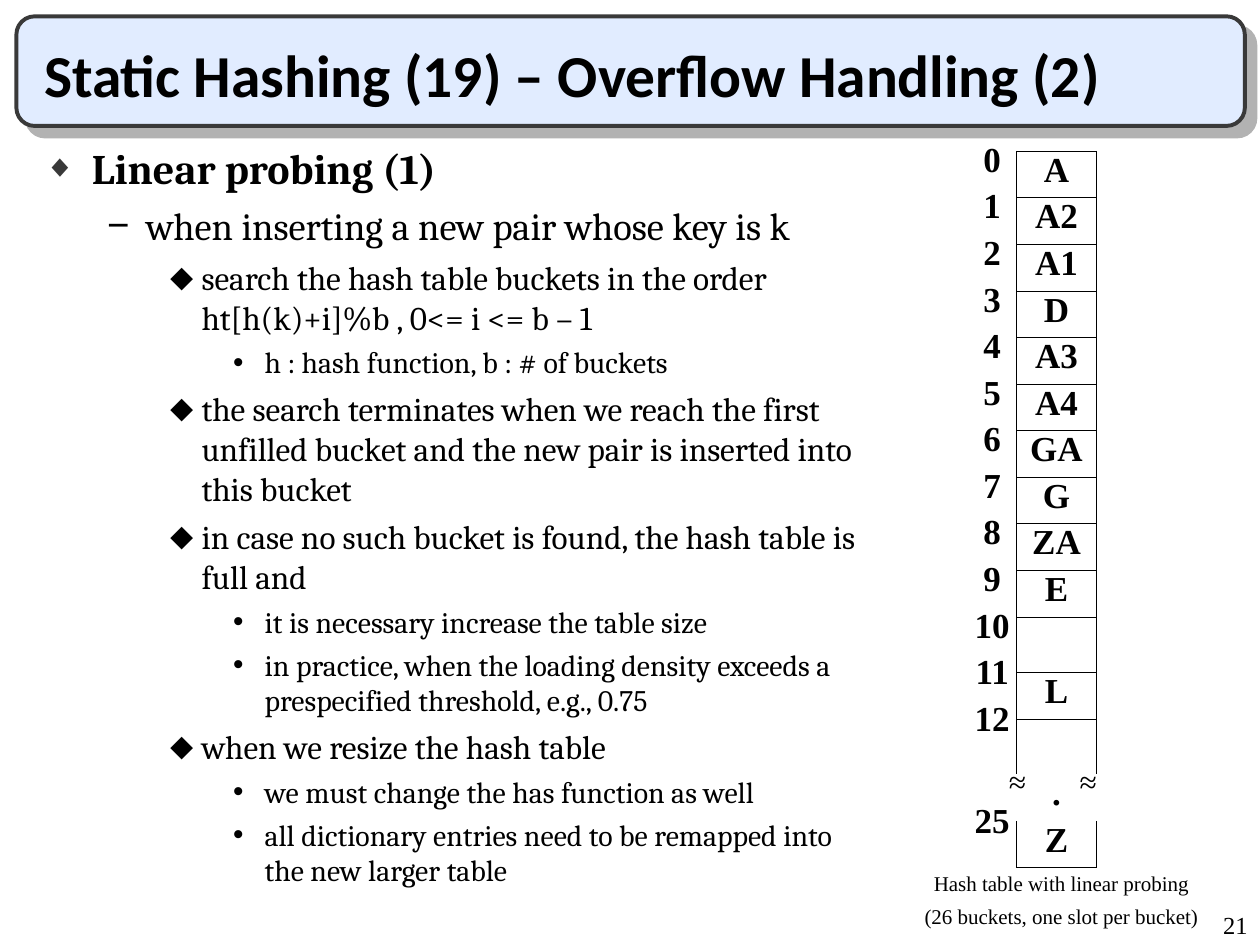
from lxml import etree
from pptx import Presentation
from pptx.dml.color import RGBColor
from pptx.enum import shapes, text
from pptx.oxml import ns, parse_xml
from pptx.util import Inches, Pt

colour = RGBColor.from_string
BLACK = "000000"
SERIF = "Times New Roman"
CENTER = text.PP_ALIGN.CENTER


def write(paragraph, words, size, font=SERIF, bold=False, align=None):
    paragraph.alignment = align
    run = paragraph.add_run()
    run.text = words
    run.font.size = Pt(size)
    run.font.name = font
    run.font.bold = bold
    run.font.color.rgb = colour(BLACK)


def add_child(parent, tag, **attributes):
    return etree.SubElement(parent, ns.qn(tag), attributes)


deck = Presentation()
deck.slide_width, deck.slide_height = Inches(10), Inches(7.5)
slide = deck.slides.add_slide(deck.slide_layouts[1])

# Heading banner, behind the title
banner = slide.shapes.add_shape(
    shapes.MSO_SHAPE.ROUNDED_RECTANGLE,
    Inches(0.13), Inches(0.13), Inches(9.75), Inches(0.87))
banner.fill.solid()
banner.fill.fore_color.rgb = colour("E1ECFF")
banner.line.color.rgb = colour("393939")
banner.line.width = Pt(2.25)
effects = parse_xml(
    f'<a:effectLst {ns.nsdecls("a")}>'
    f'<a:outerShdw blurRad="0" dist="{Pt(8.5)}" dir="2700000" algn="ctr" rotWithShape="0">'
    '<a:srgbClr val="B2B2B2"/></a:outerShdw></a:effectLst>')
banner._element.spPr.append(effects)
slide.shapes._spTree.insert(2, banner._element)

title = slide.shapes.title
title.left, title.top = Inches(0.25), Inches(0.25)
title.width, title.height = Inches(9.42), Inches(0.67)
title.text_frame.vertical_anchor = text.MSO_ANCHOR.BOTTOM
title.text_frame.auto_size = text.MSO_AUTO_SIZE.NONE
write(title.text_frame.paragraphs[0], "Static Hashing (19) – Overflow Handling (2)",
      34, "Calibri", True, text.PP_ALIGN.LEFT)

# Outline: margin, hanging indent, space before, bullet, bullet colour, bullet %, size
LEVELS = [
    (0.38, 0.38, 6, "◆", "393939", 75, 24),
    (0.81, 0.31, 5.5, "−", BLACK, 100, 22),
    (1.25, 0.25, 4.8, "⬥", BLACK, 100, 19),
    (1.75, 0.25, 4.2, "•", BLACK, 100, 17),
]
OUTLINE = [
    (0, "Linear probing (1)"),
    (1, "when inserting a new pair whose key is k"),
    (2, "search the hash table buckets in the order ht[h(k)+i]%b , 0<= i <= b – 1"),
    (3, "h : hash function, b : # of buckets"),
    (2, "the search terminates when we reach the first unfilled bucket "
        "and the new pair is inserted into this bucket"),
    (2, "in case no such bucket is found, the hash table is full and"),
    (3, "it is necessary increase the table size"),
    (3, "in practice, when the loading density exceeds a prespecified threshold, e.g., 0.75"),
    (2, "when we resize the hash table"),
    (3, "we must change the has function as well"),
    (3, "all dictionary entries need to be remapped into the new larger table"),
]
body = slide.placeholders[1]
body.left, body.top = Inches(0.25), Inches(1.08)
body.width, body.height = Inches(6.8), Inches(6.05)
body.text_frame.auto_size = text.MSO_AUTO_SIZE.NONE
for index, (level, words) in enumerate(OUTLINE):
    margin, hang, before, bullet, tint, percent, size = LEVELS[level]
    point = body.text_frame.add_paragraph() if index else body.text_frame.paragraphs[0]
    point.level = level
    properties = point._p.get_or_add_pPr()
    properties.set("marL", str(Inches(margin)))
    properties.set("indent", str(-Inches(hang)))
    add_child(add_child(properties, "a:buClr"), "a:srgbClr", val=tint)
    add_child(properties, "a:buSzPct", val=str(percent * 1000))
    add_child(properties, "a:buChar", char=bullet)
    point.space_before = Pt(before if index else 0)
    write(point, words, size, "Cambria", bold=level == 0)

# Hash table and its bucket numbers: left, top, width, entries, tall rows, ruled
BUCKETS = ["A", "A2", "A1", "D", "A3", "A4", "GA", "G", "ZA", "E", "", "L", "", ".", "Z"]
NUMBERS = [str(n) for n in range(13)] + ["", "25"]
GAP_ROW = BUCKETS.index(".")
for left, top, width, entries, tall_rows, ruled in [
    (8.07, 1.2, 0.63, BUCKETS, (10, 12), True),
    (7.6, 1.12, 0.55, NUMBERS, (13,), False),
]:
    grid = slide.shapes.add_table(
        len(entries), 1, Inches(left), Inches(top), Inches(width), Inches(5.65)).table
    grid.first_row = grid.horz_banding = False
    grid.columns[0].width = Inches(width)
    for row, entry in enumerate(entries):
        grid.rows[row].height = Inches(0.44 if row in tall_rows else 0.37)
        cell = grid.cell(row, 0)
        open_sides = {GAP_ROW - 1: "B", GAP_ROW: "LRTB", GAP_ROW + 1: "T"}.get(row, "")
        for side in "LRTB":
            edge = add_child(cell._tc.get_or_add_tcPr(), f"a:ln{side}", w=str(Pt(0.45)))
            if ruled and side not in open_sides:
                add_child(add_child(edge, "a:solidFill"), "a:srgbClr", val=BLACK)
            else:
                add_child(edge, "a:noFill")
        cell.fill.background()
        line = cell.text_frame.paragraphs[0]
        line.line_spacing = 0.8
        if entry:
            write(line, entry, 20, bold=True, align=CENTER)

# Break marks, caption and page number: left, top, width, height, size, align, spacing, lines
for left, top, width, height, size, align, spacing, lines in [
    (7.91, 6, 0.47, 0.4, 18, None, 1, ["≈"]),
    (8.47, 6, 0.47, 0.4, 18, None, 1, ["≈"]),
    (6.97, 6.9, 2.91, 0.53, 12, CENTER, 0.8,
     ["Hash table with linear probing", "(26 buckets, one slot per bucket)"]),
    (7.92, 7.17, 2.08, 0.33, 14, text.PP_ALIGN.RIGHT, 1, ["21"]),
]:
    frame = slide.shapes.add_textbox(
        Inches(left), Inches(top), Inches(width), Inches(height)).text_frame
    frame.word_wrap = True
    for index, words in enumerate(lines):
        line = frame.add_paragraph() if index else frame.paragraphs[0]
        line.line_spacing = spacing
        line.space_before = Pt(7.5 if index else 0)
        write(line, words, size, align=align)

deck.save("out.pptx")
